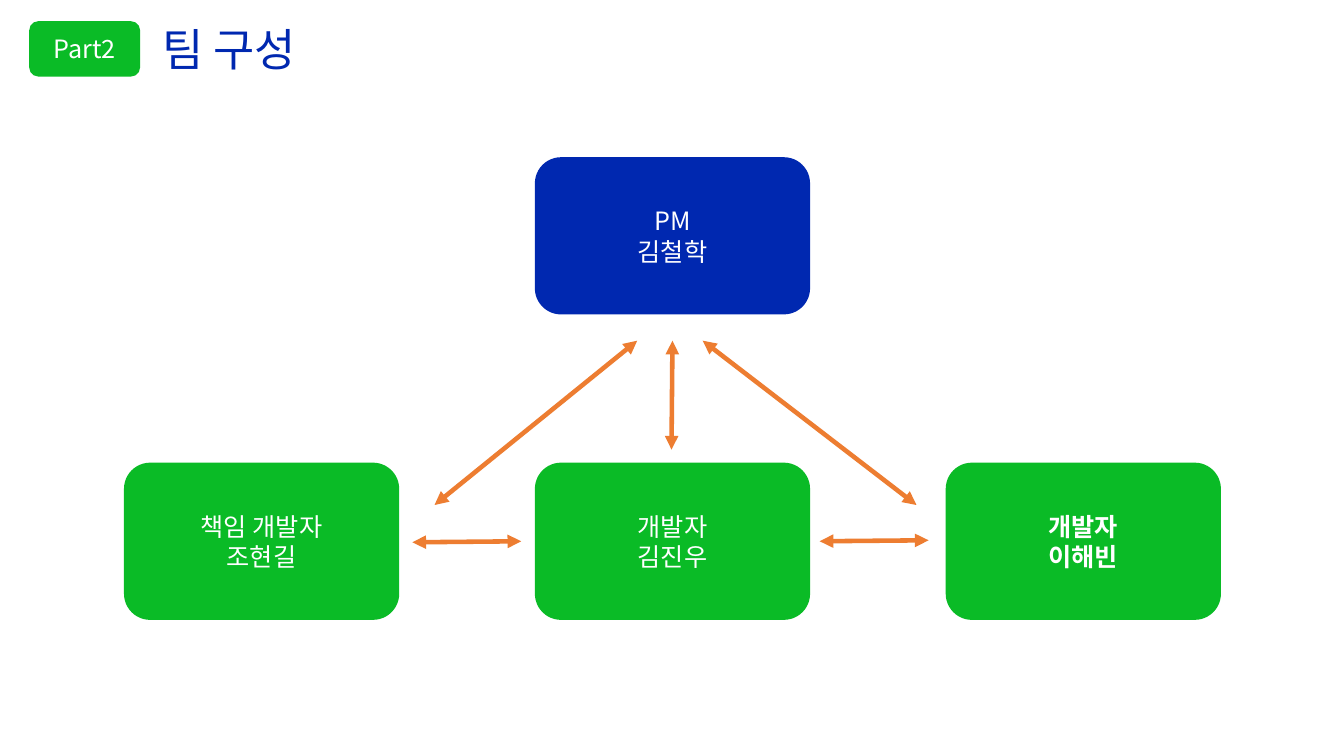
from lxml import etree
from pptx import Presentation
from pptx.dml.color import RGBColor
from pptx.enum.shapes import MSO_CONNECTOR, MSO_SHAPE
from pptx.enum.text import MSO_ANCHOR, MSO_AUTO_SIZE, PP_ALIGN
from pptx.oxml.ns import qn
from pptx.util import Inches, Pt

ROUNDED = MSO_SHAPE.ROUNDED_RECTANGLE
STRAIGHT = MSO_CONNECTOR.STRAIGHT
LEFT, CENTER = PP_ALIGN.LEFT, PP_ALIGN.CENTER
MIDDLE = MSO_ANCHOR.MIDDLE
NO_AUTOFIT = MSO_AUTO_SIZE.NONE

FONT = "Noto Sans CJK KR"
COLORS = {"blue": "0028B0", "green": "0ABB26", "orange": "ED7D31", "white": "FFFFFF"}
CARD_WIDTH, CARD_HEIGHT = 2.73, 1.56
COLUMNS = [1.23 + 4.075 * column for column in range(3)]
ROWS = [1.56, 4.59]


def color(name):
    return RGBColor.from_string(COLORS[name])


def write(shape, text, size=18, fill="white", bold=None, align=CENTER, spacing=None):
    frame = shape.text_frame
    frame.text = text
    frame.word_wrap = True
    frame.auto_size = NO_AUTOFIT
    frame.vertical_anchor = MIDDLE
    for paragraph in frame.paragraphs:
        paragraph.alignment = align
        paragraph.line_spacing = spacing
        for run in paragraph.runs:
            font = run.font
            font.name, font.size, font.bold = FONT, Pt(size), bold
            font.color.rgb = color(fill)
            east_asian = etree.SubElement(font._element, qn("a:ea"))
            east_asian.set("typeface", FONT)


presentation = Presentation()
presentation.slide_width = Inches(13.33)
presentation.slide_height = Inches(7.5)
slide = presentation.slides.add_slide(presentation.slide_layouts[5])

title = slide.shapes.title
title.left, title.top = Inches(1.51), Inches(0.2)
title.width, title.height = Inches(11.63), Inches(0.64)
write(title, "팀 구성", size=32, fill="blue", align=LEFT, spacing=0.9)

boxes = [
    ("Part2", 0.29, 0.21, 1.1, 0.55, "green", None),
    ("PM\n김철학", COLUMNS[1], ROWS[0], CARD_WIDTH, CARD_HEIGHT, "blue", None),
    ("개발자\n이해빈", COLUMNS[2], ROWS[1], CARD_WIDTH, CARD_HEIGHT, "green", True),
    ("개발자\n김진우", COLUMNS[1], ROWS[1], CARD_WIDTH, CARD_HEIGHT, "green", None),
    ("책임 개발자\n조현길", COLUMNS[0], ROWS[1], CARD_WIDTH, CARD_HEIGHT, "green", None),
]
for text, left, top, width, height, fill, bold in boxes:
    box = slide.shapes.add_shape(
        ROUNDED, Inches(left), Inches(top), Inches(width), Inches(height)
    )
    box.shadow.inherit = False
    box.fill.solid()
    box.fill.fore_color.rgb = color(fill)
    box.line.fill.background()
    write(box, text, bold=bold)

arrows = [
    (4.31, 5.01, 6.32, 3.38),
    (9.09, 5.01, 6.97, 3.38),
    (4.09, 5.38, 5.17, 5.37),
    (8.13, 5.37, 9.21, 5.36),
    (6.67, 3.38, 6.66, 4.46),
]
for ends in arrows:
    arrow = slide.shapes.add_connector(STRAIGHT, *[Inches(end) for end in ends])
    arrow.line.color.rgb = color("orange")
    arrow.line.width = Pt(3.25)
    line = arrow.line._get_or_add_ln()
    for tag in ("a:headEnd", "a:tailEnd"):
        etree.SubElement(line, qn(tag)).set("type", "triangle")
    etree.SubElement(arrow._element.spPr, qn("a:effectLst"))

presentation.save("out.pptx")
